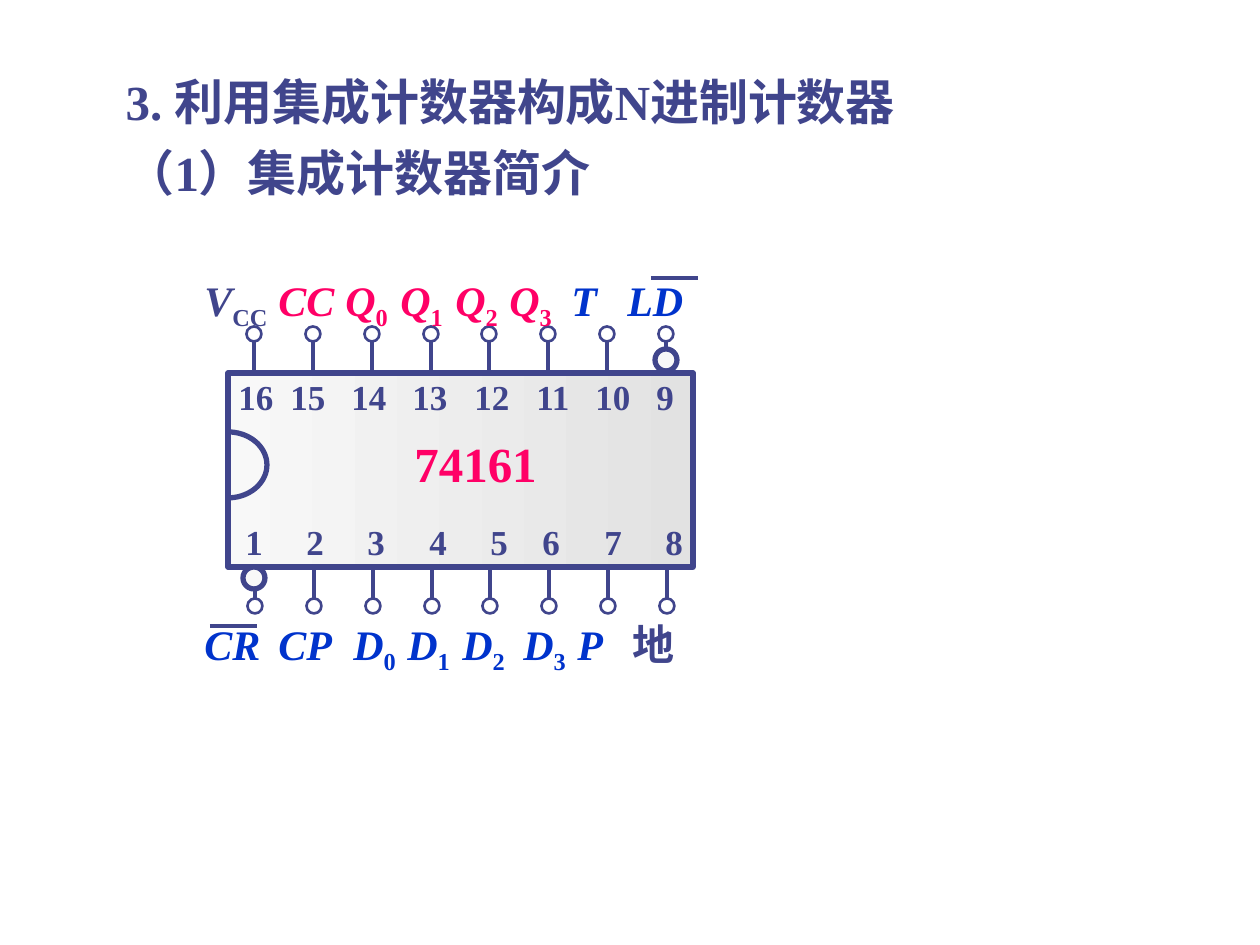
import math

from lxml import etree
from pptx import Presentation
from pptx.dml.color import RGBColor
from pptx.enum.shapes import MSO_CONNECTOR, MSO_SHAPE
from pptx.enum.text import MSO_ANCHOR, MSO_AUTO_SIZE, PP_ALIGN
from pptx.oxml.ns import qn
from pptx.util import Inches, Pt

PX = Inches(1) // 126  # EMU in one px
INK = RGBColor(0x40, 0x45, 0x8C)
PINK = RGBColor(0xFF, 0x00, 0x66)
BLUE = RGBColor(0x00, 0x33, 0xCC)
WHITE = RGBColor(0xFF, 0xFF, 0xFF)
PALE = RGBColor(0xF8, 0xF8, 0xF8)
GREY = RGBColor(0xE2, 0xE2, 0xE2)
FONT = "Times New Roman"
RECT, OVAL = MSO_SHAPE.RECTANGLE, MSO_SHAPE.OVAL
STRAIGHT = MSO_CONNECTOR.STRAIGHT
TOP, LEFT, NO_FIT = MSO_ANCHOR.TOP, PP_ALIGN.LEFT, MSO_AUTO_SIZE.NONE

# Pin names as (base, subscript, colour), in order from left to right
TOP_NAMES = [("V", "CC", INK), ("CC", "", PINK), ("Q", "0", PINK), ("Q", "1", PINK),
             ("Q", "2", PINK), ("Q", "3", PINK), ("T", "", BLUE), ("LD", "", BLUE)]
BOTTOM_NAMES = [("CR", "", BLUE), ("CP", "", BLUE), ("D", "0", BLUE), ("D", "1", BLUE),
                ("D", "2", BLUE), ("D", "3", BLUE), ("P", "", BLUE), ("地", "", INK)]
TOP_NUMBERS = [(str(n), "", INK) for n in range(16, 8, -1)]
BOTTOM_NUMBERS = [(str(n), "", INK) for n in range(1, 9)]


def add_run(p, text, size, color, italic=False, baseline=0):
    r = p.add_run()
    r.text = text
    formats = {"name": FONT, "size": Pt(size), "bold": True, "italic": italic}
    for key, value in formats.items():
        setattr(r.font, key, value)
    r.font.color.rgb = color
    if baseline:
        r.font._element.set("baseline", str(baseline * 1000))


def add_box(s, x, y, w, h):
    tf = s.shapes.add_textbox(x * PX, y * PX, w * PX, h * PX).text_frame
    tf.word_wrap = True
    return tf.paragraphs[0]


def add_row(s, x, y, w, h, items, stops, size, italic=False):
    """One line of pin labels, set out on tab stops."""
    p = add_box(s, x, y, w, h)
    tabs = etree.SubElement(p._p.get_or_add_pPr(), qn("a:tabLst"))
    for stop in stops:
        etree.SubElement(tabs, qn("a:tab"), pos=str(stop * PX), algn="l")
    for i, (base, sub, color) in enumerate(items):
        tab = "\t" if i else ""
        add_run(p, tab + base, size, color, italic and base.isascii())
        if sub:
            add_run(p, sub, size, color, baseline=-25)


def add_line(s, x1, y1, x2, y2):
    line = s.shapes.add_connector(STRAIGHT, x1 * PX, y1 * PX, x2 * PX, y2 * PX)
    line.line.color.rgb = INK
    line.line.width = Pt(2.25)
    etree.SubElement(line._element.spPr, qn("a:effectLst"))


def outline(sp, width):
    sp.shadow.inherit = False
    sp.line.color.rgb = INK
    sp.line.width = Pt(width)


def add_circle(s, cx, cy, d, fill, width):
    sp = s.shapes.add_shape(OVAL, int((cx - d / 2) * PX), int((cy - d / 2) * PX),
                            d * PX, d * PX)
    sp.fill.solid()
    sp.fill.fore_color.rgb = fill
    outline(sp, width)


def add_heading(s, x, y, w, h):
    title = s.shapes.title
    box = {"left": x, "top": y, "width": w, "height": h}
    for key, value in box.items():
        setattr(title, key, value * PX)
    tf = title.text_frame
    tf.word_wrap, tf.auto_size, tf.vertical_anchor = True, NO_FIT, TOP
    lines = ["3. 利用集成计数器构成N进制计数器", "（1）集成计数器简介"]
    for i, text in enumerate(lines):
        p = tf.add_paragraph() if i else tf.paragraphs[0]
        p.alignment = LEFT
        if i:
            p.space_before = Pt(7)
        add_run(p, text, 28, INK)


def add_pins(s, x, w, edge, end, ring):
    """Eight evenly spaced stems with open terminals."""
    for i in range(8):
        cx = x + round(i * w / 7)
        add_line(s, cx, end, cx, edge)
        add_circle(s, cx, ring, 15, WHITE, 1.5)


def add_notch(s, x, cy, rx, ry):
    points = []
    for degrees in range(-90, 91, 5):
        a = math.radians(degrees)
        points.append((round((x + rx * math.cos(a)) * PX),
                       round((cy + ry * math.sin(a)) * PX)))
    builder = s.shapes.build_freeform(*points[0])
    builder.add_line_segments(points[1:], close=False)
    sp = builder.convert_to_shape()
    sp.fill.background()
    outline(sp, 3)


def add_chip(s, x, y, w, h):
    # Body
    body = s.shapes.add_shape(RECT, x * PX, y * PX, w * PX, h * PX)
    body.fill.gradient()
    body.fill.gradient_angle = 0
    for stop, color in zip(body.fill.gradient_stops, (PALE, GREY)):
        stop.color.rgb = color
    outline(body, 3)

    # Pins and notch
    bottom = y + h
    add_pins(s, x + 26, 412, y - 1, y - 47, y - 39)
    add_pins(s, x + 27, 412, bottom + 1, bottom + 45, bottom + 39)
    add_notch(s, x, y + 92, 39, 33)

    # Part number and pin numbers
    add_row(s, x + 5, y + 141, 484, 55, BOTTOM_NUMBERS,
            [61, 122, 184, 245, 297, 359, 420], 20)
    add_row(s, x - 2, y - 4, 481, 55, TOP_NUMBERS,
            [52, 113, 174, 236, 298, 357, 418], 20)
    add_run(add_box(s, x + 174, y + 54, 156, 72), "74161", 28, PINK)

    # Pin names, with bars over the active-low ones
    add_row(s, x - 36, y - 105, 546, 71, TOP_NAMES,
            [74, 141, 196, 251, 305, 367, 423], 24, True)
    add_line(s, x + 423, y - 95, x + 470, y - 95)
    add_row(s, x - 36, bottom + 45, 546, 71, BOTTOM_NAMES,
            [74, 149, 203, 258, 319, 373, 428], 24, True)
    add_line(s, x - 18, bottom + 59, x + 29, bottom + 59)

    # Inversion bubbles
    add_circle(s, x + 438, y - 13, 22, PALE, 3)
    add_circle(s, x + 26, bottom + 11, 22, PALE, 3)


def main():
    prs = Presentation()
    prs.slide_width, prs.slide_height = 1260 * PX, 945 * PX
    s = prs.slides.add_slide(prs.slide_layouts[5])
    add_heading(s, 113, 65, 974, 147)
    add_chip(s, 228, 373, 465, 194)
    prs.save("out.pptx")


if __name__ == "__main__":
    main()
